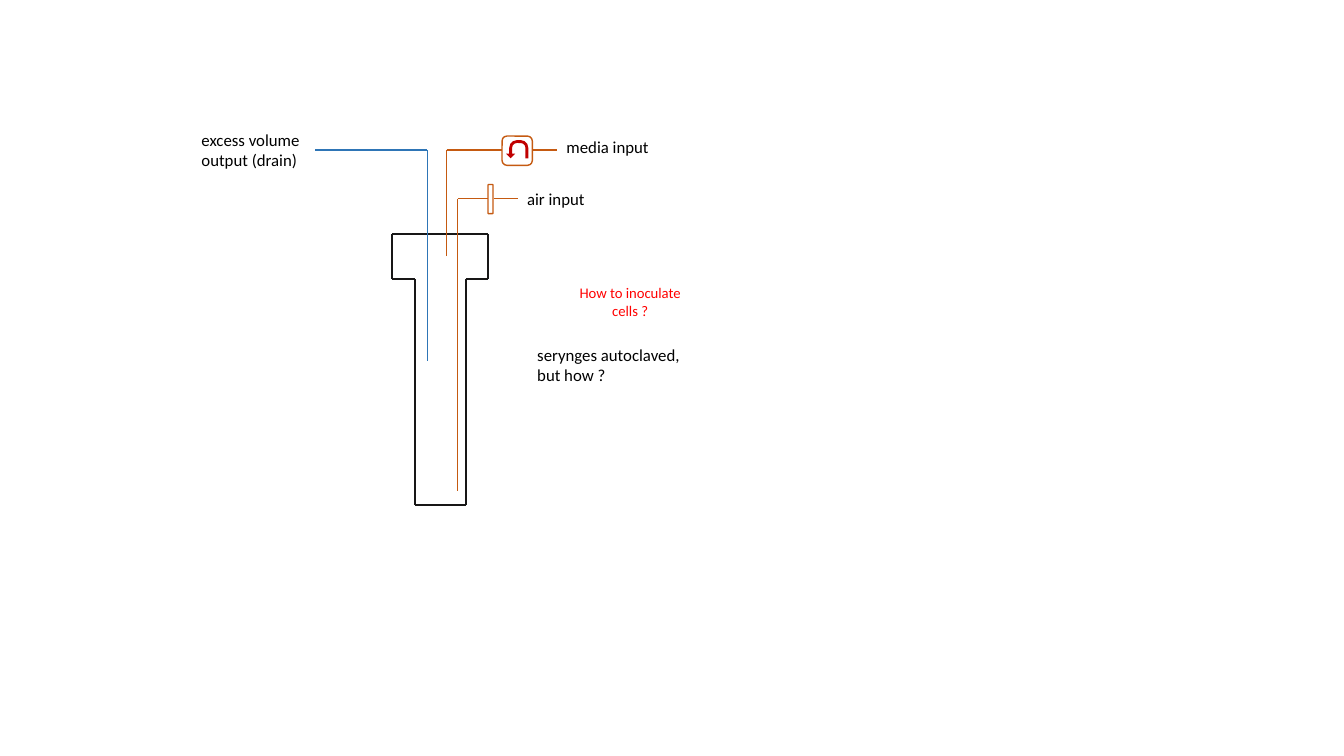
from itertools import pairwise

from pptx import Presentation
from pptx.dml.color import RGBColor
from pptx.enum.shapes import MSO_CONNECTOR, MSO_SHAPE
from pptx.enum.text import MSO_AUTO_SIZE, PP_ALIGN
from pptx.oxml.ns import qn
from pptx.util import Inches, Pt

BLACK = RGBColor(0x00, 0x00, 0x00)
VESSEL = RGBColor(0x18, 0x17, 0x17)
INPUT = RGBColor(0xC5, 0x5A, 0x11)
DRAIN = RGBColor(0x2E, 0x75, 0xB6)
PUMP_ARROW = RGBColor(0xC0, 0x00, 0x00)
QUESTION = RGBColor(0xFF, 0x00, 0x00)


def add_tube(s, points, color, width=1):
    """Join consecutive points with straight connectors."""
    for start, end in pairwise(points):
        line = s.shapes.add_connector(
            MSO_CONNECTOR.STRAIGHT, *map(Inches, start + end))
        line.line.color.rgb = color
        line.line.width = Pt(width)
        sp_pr = line._element.spPr
        sp_pr.append(sp_pr.makeelement(qn("a:effectLst"), {}))


def add_figure(s, kind, box, line=None, fill=None):
    sp = s.shapes.add_shape(kind, *map(Inches, box))
    sp.shadow.inherit = False
    if fill is None:
        sp.fill.background()
    else:
        sp.fill.solid()
        sp.fill.fore_color.rgb = fill
    if line is None:
        sp.line.fill.background()
    else:
        sp.line.color.rgb = line
        sp.line.width = Pt(1)
    return sp


def add_label(s, text, box, size=12, color=BLACK, align=PP_ALIGN.LEFT):
    tf = s.shapes.add_textbox(*map(Inches, box)).text_frame
    tf.word_wrap = True
    tf.auto_size = MSO_AUTO_SIZE.SHAPE_TO_FIT_TEXT
    p = tf.paragraphs[0]
    p.alignment = align
    r = p.add_run()
    r.text = text
    r.font.name = "Calibri"
    r.font.size = Pt(size)
    r.font.color.rgb = color


def add_vessel(s):
    cap_left, cap_right, cap_top = 3.89, 4.84, 2.32
    left, right, neck, bottom = 4.12, 4.62, 2.77, 5.01
    outline = [(left, neck), (left, bottom), (right, bottom), (right, neck),
               (cap_right, neck), (cap_right, cap_top), (cap_left, cap_top),
               (cap_left, neck), (left, neck)]
    add_tube(s, outline, VESSEL, width=1.5)


def add_air_input(s):
    add_tube(s, [(4.54, 4.87), (4.54, 1.97), (4.84, 1.97)], INPUT)
    add_figure(s, MSO_SHAPE.ROUNDED_RECTANGLE, (4.84, 1.83, 0.05, 0.29), INPUT)
    add_tube(s, [(4.9, 1.97), (5.14, 1.97)], INPUT)
    add_label(s, "air input", (5.13, 1.82, 1.3, 0.3))


def add_media_input(s):
    add_tube(s, [(4.43, 2.54), (4.43, 1.49), (4.98, 1.49)], INPUT)
    add_figure(s, MSO_SHAPE.ROUNDED_RECTANGLE, (4.98, 1.35, 0.3, 0.29), INPUT)
    arrow = add_figure(s, MSO_SHAPE.U_TURN_ARROW, (5.02, 1.39, 0.22, 0.18),
                       fill=PUMP_ARROW)
    for i, value in enumerate((0.16, 0.25, 0.25, 0.42, 1)):
        arrow.adjustments[i] = value
    arrow._element.spPr.find(qn("a:xfrm")).set("flipH", "1")
    add_tube(s, [(5.28, 1.49), (5.52, 1.49)], INPUT)
    add_label(s, "media input", (5.52, 1.31, 1.3, 0.3))


def add_drain(s):
    add_tube(s, [(4.24, 3.58), (4.24, 1.49), (3.12, 1.49)], DRAIN)
    add_label(s, "excess volume output (drain)", (1.9, 1.24, 1.61, 0.5))


def main():
    prs = Presentation()
    prs.slide_width, prs.slide_height = Inches(13.33), Inches(7.5)
    s = prs.slides.add_slide(prs.slide_layouts[6])
    add_vessel(s)
    add_air_input(s)
    add_media_input(s)
    add_drain(s)
    add_label(s, "How to inoculate cells ?", (5.52, 2.77, 1.46, 0.45),
              size=10.5, color=QUESTION, align=PP_ALIGN.CENTER)
    add_label(s, "serynges autoclaved, but how ?", (5.23, 3.37, 1.68, 0.91))
    prs.save("out.pptx")


if __name__ == "__main__":
    main()
